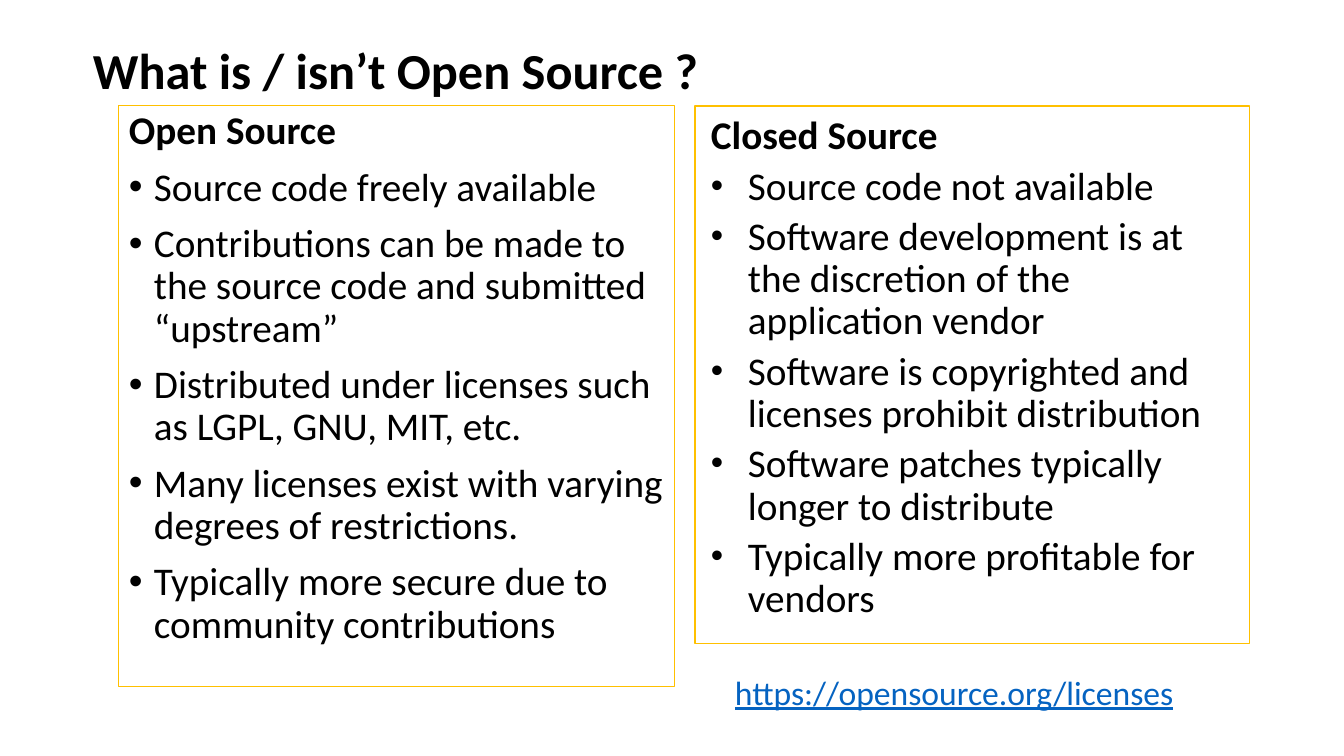
import dataclasses

import pptx
import pptx.dml.color
import pptx.enum.shapes
import pptx.enum.text
import pptx.oxml.ns
import pptx.util
import lxml.etree

EMU_PER_PX = 914400 / 100.8


@dataclasses.dataclass(frozen=True)
class Theme:
    font: str = "Calibri"
    ink: str = "000000"
    link: str = "0563C1"
    border: str = "FFC000"
    title_size: int = 36
    body_size: int = 28
    link_size: int = 24
    line_spacing: float = 0.9


THEME = Theme()

OPEN_POINTS = [
    "Source code freely available",
    "Contributions can be made to the source code and submitted “upstream”",
    "Distributed under licenses such as LGPL, GNU, MIT, etc.",
    "Many licenses exist with varying degrees of restrictions.",
    "Typically more secure due to community contributions",
]
CLOSED_POINTS = [
    "Source code not available",
    "Software development is at the discretion of the application vendor",
    "Software is copyrighted and licenses prohibit distribution",
    "Software patches typically longer to distribute",
    "Typically more profitable for vendors",
]


def px(length):
    return pptx.util.Emu(round(length * EMU_PER_PX))


def rgb(value):
    return pptx.dml.color.RGBColor.from_string(value)


def set_frame(frame, inset_x, inset_y, anchor=pptx.enum.text.MSO_ANCHOR.TOP):
    frame.word_wrap = True
    frame.margin_left = frame.margin_right = px(inset_x)
    frame.margin_top = frame.margin_bottom = px(inset_y)
    frame.vertical_anchor = anchor


def add_bullet(paragraph, indent, percent):
    properties = paragraph._p.get_or_add_pPr()
    properties.set("marL", str(px(indent)))
    properties.set("indent", str(-px(indent)))
    for tag, name, value in (
        ("a:buSzPct", "val", str(percent * 1000)),
        ("a:buFont", "typeface", "Arial"),
        ("a:buChar", "char", "•"),
    ):
        element = lxml.etree.SubElement(properties, pptx.oxml.ns.qn(tag))
        element.set(name, value)


def write(frame, text, size=THEME.body_size, color=THEME.ink, bold=False,
          underline=False, before=0, indent=0, bullet_percent=100):
    paragraph = frame.paragraphs[0]
    if paragraph.runs:
        paragraph = frame.add_paragraph()
    if indent:
        add_bullet(paragraph, indent, bullet_percent)
    paragraph.alignment = pptx.enum.text.PP_ALIGN.LEFT
    paragraph.line_spacing = THEME.line_spacing
    if before:
        paragraph.space_before = pptx.util.Pt(before)
    run = paragraph.add_run()
    run.text = text
    run.font.name = THEME.font
    run.font.size = pptx.util.Pt(size)
    run.font.bold = bold
    run.font.underline = underline
    run.font.color.rgb = rgb(color)


def add_label(slide, box, text, inset_x, inset_y,
              anchor=pptx.enum.text.MSO_ANCHOR.TOP, **text_format):
    label = slide.shapes.add_textbox(*map(px, box))
    set_frame(label.text_frame, inset_x, inset_y, anchor)
    write(label.text_frame, text, **text_format)


def add_panel(slide, box, heading, points, inset_x, inset_y, **point_format):
    panel = slide.shapes.add_shape(
        pptx.enum.shapes.MSO_SHAPE.RECTANGLE, *map(px, box))
    panel.shadow.inherit = False
    panel.fill.background()
    panel.line.color.rgb = rgb(THEME.border)
    panel.line.width = pptx.util.Pt(0.75)
    set_frame(panel.text_frame, inset_x, inset_y)
    write(panel.text_frame, heading, bold=True)
    for point in points:
        write(panel.text_frame, point, **point_format)


def main():
    deck = pptx.Presentation()
    deck.slide_width, deck.slide_height = px(1344), px(756)
    slide = deck.slides.add_slide(deck.slide_layouts[6])

    add_panel(slide, (119, 106, 556, 581), "Open Source", OPEN_POINTS,
              10, 5, before=10, indent=25)
    add_label(slide, (83, 0, 1159, 146), "What is / isn’t Open Source ?", 10, 5,
              anchor=pptx.enum.text.MSO_ANCHOR.MIDDLE,
              size=THEME.title_size, bold=True)
    add_panel(slide, (695, 106, 555, 538), "Closed Source", CLOSED_POINTS,
              16, 10, before=5.6, indent=37, bullet_percent=90)
    add_label(slide, (715, 660, 514, 72), "https://opensource.org/licenses", 20, 16,
              size=THEME.link_size, color=THEME.link, underline=True)

    deck.save("out.pptx")


if __name__ == "__main__":
    main()
